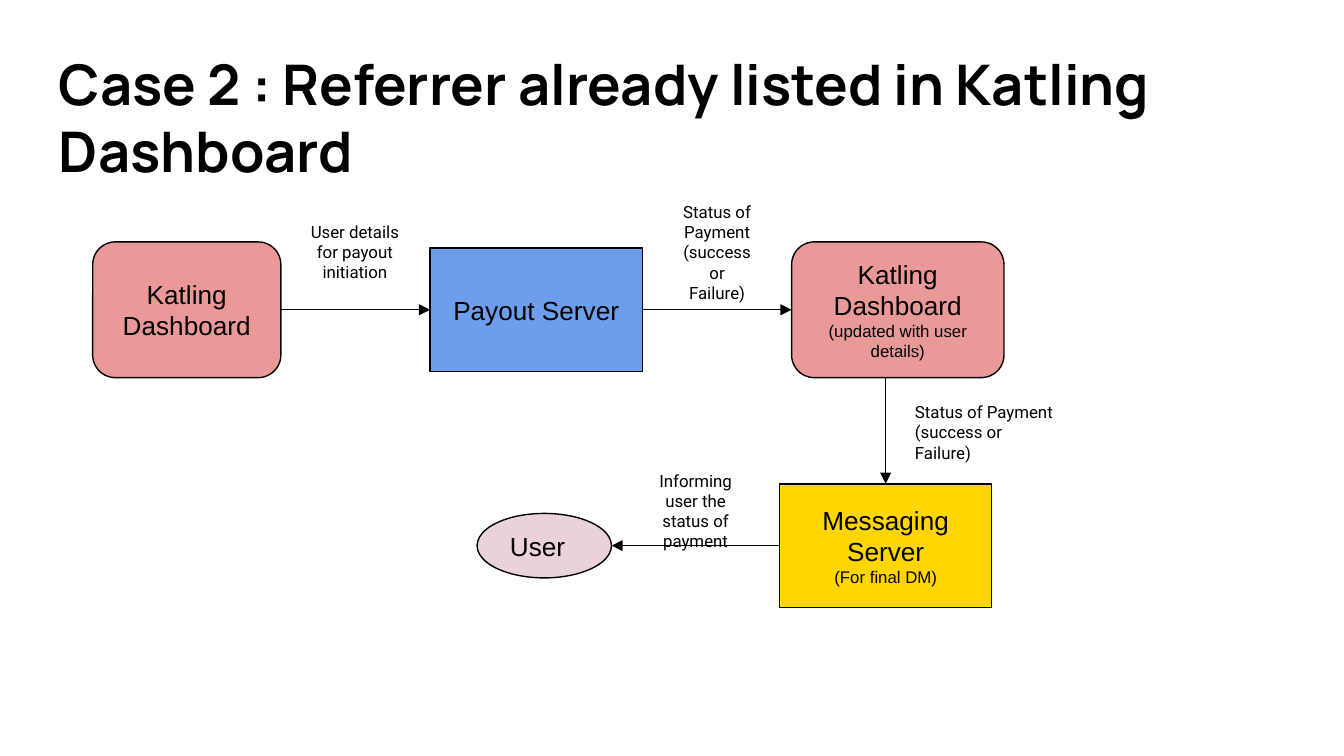
import dataclasses

import pptx
import pptx.dml.color
import pptx.enum.shapes
import pptx.enum.text
import pptx.oxml
import pptx.oxml.ns
import pptx.util

Inches = pptx.util.Inches
Pt = pptx.util.Pt
Shape = pptx.enum.shapes.MSO_SHAPE
Align = pptx.enum.text.PP_ALIGN
Anchor = pptx.enum.text.MSO_ANCHOR
AutoSize = pptx.enum.text.MSO_AUTO_SIZE


@dataclasses.dataclass(frozen=True)
class Theme:
    ink: str = "000000"
    dashboard: str = "EA9999"
    payout: str = "6D9EEB"
    messaging: str = "FFD600"
    user: str = "EAD1DC"
    title_font: str = "Manrope"
    node_font: str = "Arial"
    label_font: str = "Roboto"
    title_size: float = 30
    node_size: float = 14
    small_size: float = 9
    line_width: float = 0.75
    inset: float = 0.1


@dataclasses.dataclass(frozen=True)
class Box:
    left: float
    top: float
    width: float
    height: float

    @property
    def right(self):
        return self.left + self.width

    @property
    def bottom(self):
        return self.top + self.height

    @property
    def center(self):
        return self.left + self.width / 2

    @property
    def middle(self):
        return self.top + self.height / 2

    def inner(self, left, top, width, height):
        return Box(self.left + left, self.top + top, width, height)

    def lengths(self):
        return [Inches(value) for value in (self.left, self.top, self.width, self.height)]


THEME = Theme()


def color(value):
    return pptx.dml.color.RGBColor.from_string(value)


def write(frame, lines, font, sizes, align, bold=False):
    frame.word_wrap = True
    frame.margin_left = frame.margin_right = Inches(THEME.inset)
    frame.margin_top = frame.margin_bottom = Inches(THEME.inset)
    for index, (line, size) in enumerate(zip(lines, sizes)):
        para = frame.paragraphs[0] if index == 0 else frame.add_paragraph()
        para.alignment = align
        span = para.add_run()
        span.text = line
        span.font.name = font
        span.font.size = Pt(size)
        span.font.bold = bold
        span.font.color.rgb = color(THEME.ink)


def add_node(page, kind, box, fill, lines, align=Align.CENTER):
    node = page.shapes.add_shape(kind, *box.lengths())
    node.shadow.inherit = False
    node.fill.solid()
    node.fill.fore_color.rgb = color(fill)
    node.line.color.rgb = color(THEME.ink)
    node.line.width = Pt(THEME.line_width)
    node.text_frame.vertical_anchor = Anchor.MIDDLE
    write(node.text_frame, lines, THEME.node_font, (THEME.node_size, THEME.small_size), align)


def add_label(page, box, lines, align=Align.CENTER):
    label = page.shapes.add_textbox(*box.lengths())
    write(label.text_frame, lines, THEME.label_font, [THEME.small_size] * len(lines), align)
    label.text_frame.auto_size = AutoSize.SHAPE_TO_FIT_TEXT


def add_arrow(page, start, end):
    points = [Inches(value) for value in (*start, *end)]
    arrow = page.shapes.add_connector(pptx.enum.shapes.MSO_CONNECTOR.STRAIGHT, *points)
    arrow.line.color.rgb = color(THEME.ink)
    arrow.line.width = Pt(THEME.line_width)
    head = pptx.oxml.parse_xml(f'<a:tailEnd {pptx.oxml.ns.nsdecls("a")} type="triangle"/>')
    arrow.line._get_or_add_ln().append(head)
    effects = pptx.oxml.parse_xml(f'<a:effectLst {pptx.oxml.ns.nsdecls("a")}/>')
    arrow._element.spPr.append(effects)


def add_title(page, box):
    title = page.shapes.add_textbox(*box.lengths())
    lines = ["Case 2 : Referrer already listed in Katling Dashboard"]
    write(title.text_frame, lines, THEME.title_font, [THEME.title_size], Align.LEFT, bold=True)


def add_payout_flow(page, box):
    gap = 1.11
    wide, tall, short = 1.58, 1.01, 0.92
    dashboard = box.inner(0, 0.4, 1.4, tall)
    payout = Box(dashboard.right + gap, dashboard.middle - short / 2, wide, short)
    updated = Box(payout.right + gap, dashboard.top, wide, tall)
    messaging = Box(updated.left - 0.09, updated.bottom + 0.79, wide, short)
    user = box.inner(2.86, 2.42, 1, 0.48)

    add_node(page, Shape.ROUNDED_RECTANGLE, dashboard, THEME.dashboard, ["Katling Dashboard"])
    add_node(page, Shape.RECTANGLE, payout, THEME.payout, ["Payout Server"])
    add_node(page, Shape.ROUNDED_RECTANGLE, updated, THEME.dashboard,
             ["Katling Dashboard", "(updated with user details)"])
    add_node(page, Shape.RECTANGLE, messaging, THEME.messaging,
             ["Messaging Server", "(For final DM)"])
    add_node(page, Shape.OVAL, user, THEME.user, ["User"], Align.LEFT)

    for source, target in ((dashboard, payout), (payout, updated)):
        add_arrow(page, (source.right, source.middle), (target.left, target.middle))
    add_arrow(page, (messaging.center, updated.bottom), (messaging.center, messaging.top))
    add_arrow(page, (messaging.left, user.middle), (user.right, user.middle))

    status = ["Status of Payment", "(success or Failure)"]
    add_label(page, box.inner(1.51, 0.15, 0.88, 0.66), ["User details for payout initiation"])
    add_label(page, box.inner(4.27, 0, 0.75, 0.81), status)
    add_label(page, box.inner(6.02, 1.49, 1.27, 0.5), status, Align.LEFT)
    add_label(page, box.inner(4, 2, 0.97, 0.66), ["Informing user the status of payment"])


def main():
    deck = pptx.Presentation()
    deck.slide_width = Inches(10)
    deck.slide_height = deck.slide_width * 9 // 16
    page = deck.slides.add_slide(deck.slide_layouts[6])
    add_title(page, Box(0.34, 0.27, 9.32, 1.01))
    add_payout_flow(page, Box(0.69, 1.4, 7.29, 3.12))
    deck.save("out.pptx")


if __name__ == "__main__":
    main()
